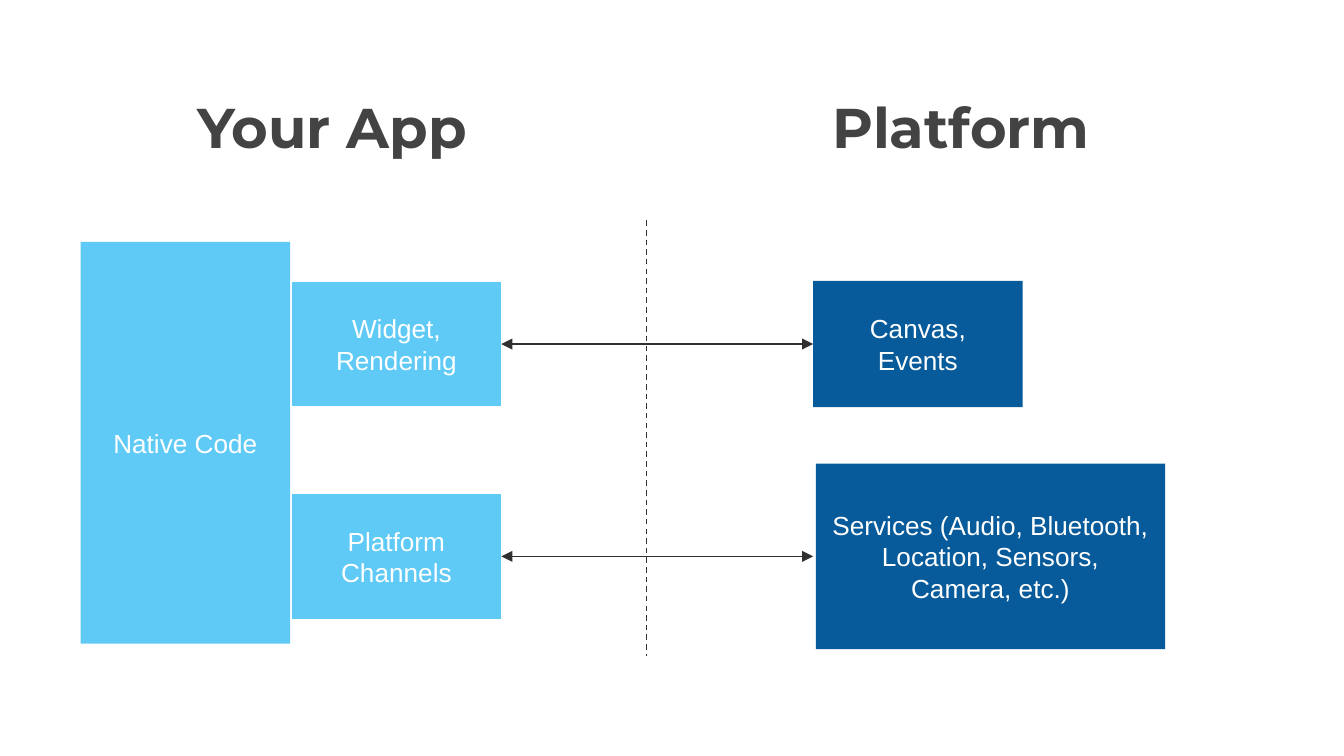
from lxml import etree
from pptx import Presentation
from pptx import util as u
from pptx.dml.color import RGBColor
from pptx.enum import dml, shapes, text
from pptx.oxml import ns

SKY, NAVY, WHITE, INK, TITLE = "60CAF6", "075B9A", "FFFFFF", "303030", "434343"
BLOCK_W, BLOCK_H = 1.56, 0.94
ROW_STEP = 1.58
PLATFORM_LEFT = 6.05


def color(value):
    return RGBColor.from_string(value)


def write(shape, words, anchor, **font_format):
    frame = shape.text_frame
    frame.word_wrap = True
    frame.vertical_anchor = anchor
    for side in ("left", "top", "right", "bottom"):
        setattr(frame, f"margin_{side}", u.Inches(0.1))
    frame.text = words
    for paragraph in frame.paragraphs:
        paragraph.alignment = text.PP_ALIGN.CENTER
        for run in paragraph.runs:
            run.font.color.rgb = color(font_format["ink"])
            for key in ("name", "size", "bold"):
                setattr(run.font, key, font_format[key])


def add_block(slide, box, words, fill, outline=None):
    block = slide.shapes.add_shape(shapes.MSO_SHAPE.RECTANGLE, *map(u.Inches, box))
    block.shadow.inherit = False
    block.fill.solid()
    block.fill.fore_color.rgb = color(fill)
    if outline:
        block.line.color.rgb = color(outline)
        block.line.width = u.Pt(0.75)
    else:
        block.line.fill.background()
    write(block, words, text.MSO_ANCHOR.MIDDLE,
          name="Arial", size=u.Pt(14), bold=False, ink=WHITE)
    return block


def add_heading(slide, box, words):
    heading = slide.shapes.add_textbox(*map(u.Inches, box))
    write(heading, words, text.MSO_ANCHOR.TOP,
          name="Montserrat", size=u.Pt(30), bold=True, ink=TITLE)


def add_line(slide, start, end):
    line = slide.shapes.add_connector(
        shapes.MSO_CONNECTOR.STRAIGHT, *start, *end)
    line.line.color.rgb = color(INK)
    line.line.width = u.Pt(0.75)
    etree.SubElement(line._element.spPr, ns.qn("a:effectLst"))
    return line


def add_app(slide, left, top):
    add_block(slide, (left, top, BLOCK_W, 2.99), "Native Code", SKY)
    return [
        add_block(slide, (left + 1.57, top + 0.29 + row * ROW_STEP, BLOCK_W, BLOCK_H),
                  words, SKY, WHITE)
        for row, words in enumerate(("Widget,\nRendering", "Platform\vChannels"))
    ]


def add_platform(slide, left, top):
    canvas = add_block(slide, (left, top, BLOCK_W, BLOCK_H), "Canvas,\vEvents", NAVY)
    add_block(slide, (left + 0.02, top + 1.36, 2.6, 1.38),
              "Services (Audio, Bluetooth, Location, Sensors, Camera, etc.)", NAVY)
    return canvas


def add_divider(slide, left, top, height):
    x = u.Inches(left)
    divider = add_line(slide, (x, u.Inches(top)), (x, u.Inches(top + height)))
    divider.line.dash_style = dml.MSO_LINE.DASH


def add_link(slide, app_part, right):
    middle = app_part.top + app_part.height // 2
    link = add_line(slide, (app_part.left + app_part.width, middle),
                    (u.Inches(right), middle))
    link.begin_connect(app_part, 3)
    outline = link.line._get_or_add_ln()
    for end in ("headEnd", "tailEnd"):
        etree.SubElement(outline, ns.qn(f"a:{end}"), type="triangle")
    return link


def main():
    deck = Presentation()
    deck.slide_width = u.Inches(10)
    deck.slide_height = deck.slide_width * 9 // 16
    slide = deck.slides.add_slide(deck.slide_layouts[6])
    widget, channels = add_app(slide, 0.6, 1.8)
    canvas = add_platform(slide, PLATFORM_LEFT, 2.09)
    for left, words in ((1.17, "Your App"), (5.85, "Platform")):
        add_heading(slide, (left, 0.59, 2.6, 0.8), words)
    add_divider(slide, 4.81, 1.64, 3.24)
    add_link(slide, channels, PLATFORM_LEFT)
    add_link(slide, widget, PLATFORM_LEFT).end_connect(canvas, 1)
    deck.save("out.pptx")


if __name__ == "__main__":
    main()
